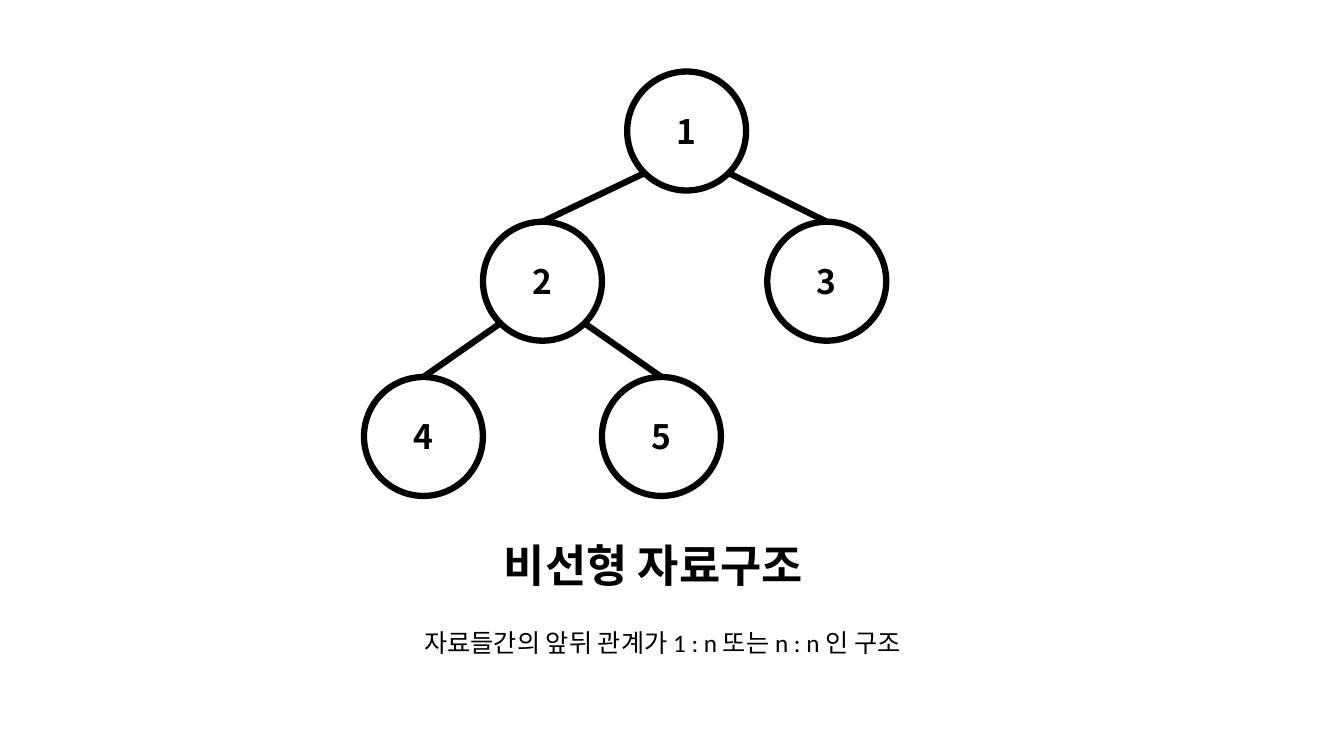
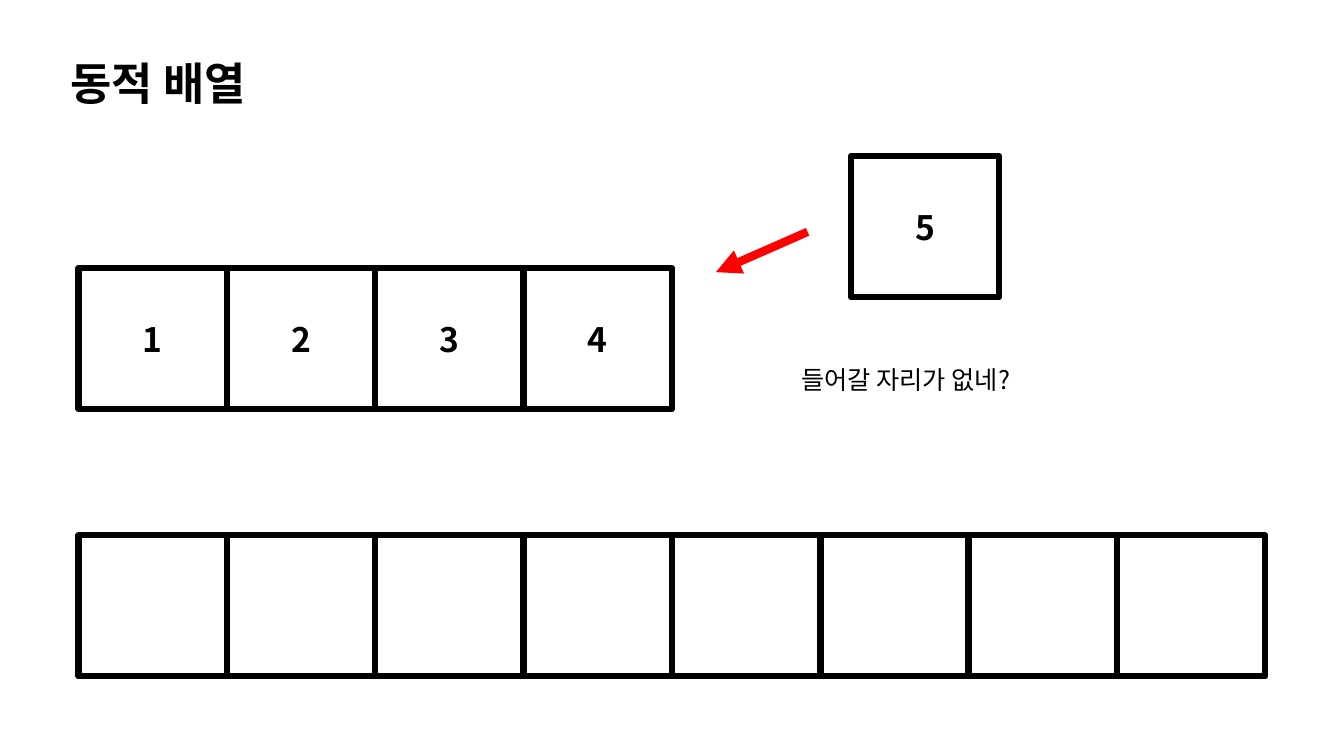
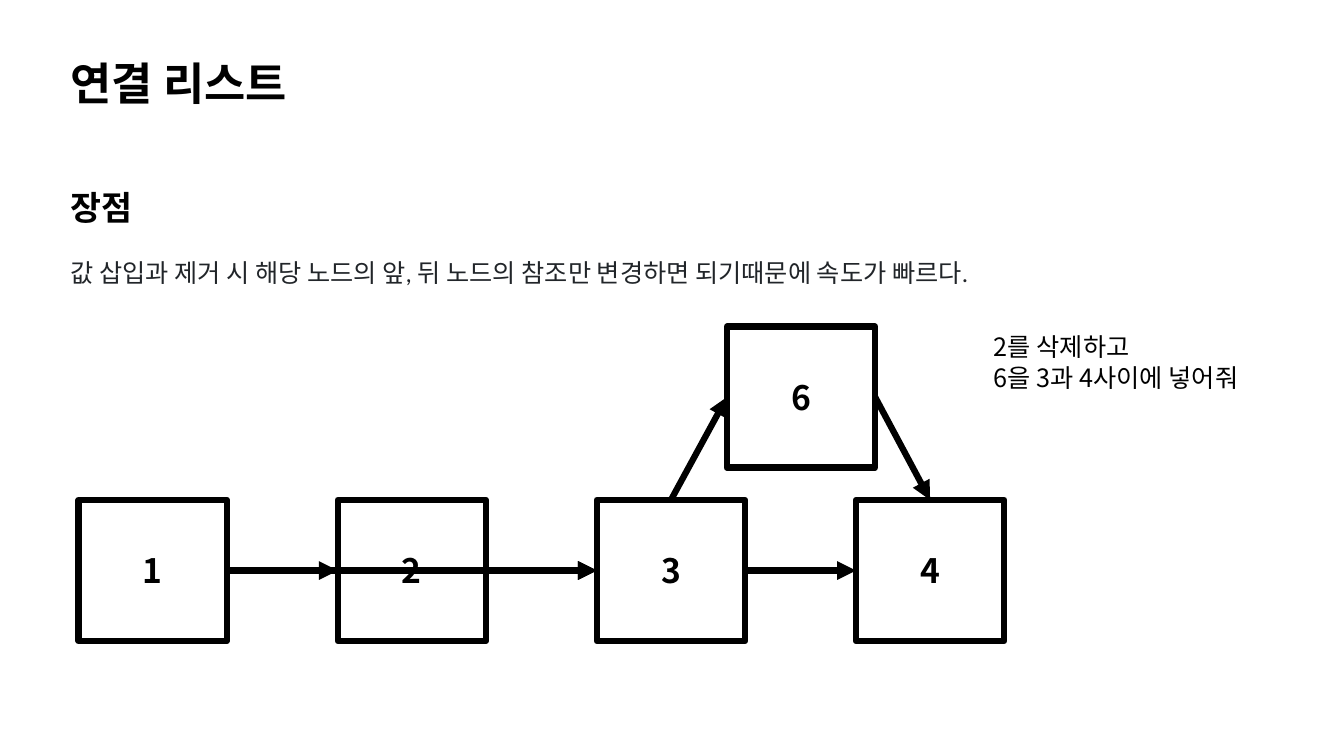
from dataclasses import dataclass
from itertools import pairwise

from lxml.etree import SubElement
from pptx import Presentation
from pptx.dml.color import RGBColor
from pptx.enum.shapes import MSO_CONNECTOR, MSO_SHAPE
from pptx.enum.text import MSO_ANCHOR, PP_ALIGN
from pptx.oxml.ns import qn
from pptx.slide import Slide
from pptx.text.text import TextFrame
from pptx.util import Inches, Pt

COLOURS = {"ink": "000000", "body": "212529", "alert": "FF0000"}
KOREAN = "Noto Sans CJK KR"
LATIN = "Calibri"
OUTLINE = 4.5
MARGIN = 0.6
TITLE_TOP = 0.5
GRID_LEFT = 0.78
CELL_WIDTH, CELL_HEIGHT = 1.47, 1.4
CELL_PITCH = 1.4715
LINK_PITCH = 2.57
DIAMETER = 1.18

Point = tuple[float, float]


@dataclass(frozen=True)
class Line:
    text: str
    size: float = 18
    bold: bool = False
    font: str = KOREAN
    colour: str = "ink"
    align: PP_ALIGN = PP_ALIGN.LEFT
    gap: float = 0


@dataclass(frozen=True)
class Node:
    label: str
    left: float
    top: float
    width: float = CELL_WIDTH
    height: float = CELL_HEIGHT
    outline: MSO_SHAPE = MSO_SHAPE.RECTANGLE

    def at(self, across: float, down: float) -> Point:
        return self.left + self.width * across, self.top + self.height * down

    def rim(self, side: int) -> Point:
        reach = 0.5 ** 1.5
        return self.at(0.5 + side * reach, 0.5 + reach)


def colour(name: str) -> RGBColor:
    return RGBColor.from_string(COLOURS[name])


def write(frame: TextFrame, lines: list[Line]) -> None:
    frame.word_wrap = True
    for index, line in enumerate(lines):
        paragraph = frame.add_paragraph() if index else frame.paragraphs[0]
        paragraph.text = line.text
        paragraph.alignment = line.align
        paragraph.space_before = Pt(line.gap)
        font = paragraph.font
        font.size, font.bold, font.name = Pt(line.size), line.bold, line.font
        font.color.rgb = colour(line.colour)
        defaults = paragraph._p.pPr.find(qn("a:defRPr"))
        SubElement(defaults, qn("a:ea")).set("typeface", KOREAN)


def add_text(slide: Slide, left: float, top: float, width: float,
             height: float, *lines: Line) -> None:
    box = slide.shapes.add_textbox(*map(Inches, (left, top, width, height)))
    write(box.text_frame, list(lines))


def add_title(slide: Slide, text: str, left: float = MARGIN,
              top: float = TITLE_TOP) -> None:
    add_text(slide, left, top, 3.53, 0.64, Line(text, 32, True))


def add_node(slide: Slide, node: Node) -> None:
    shape = slide.shapes.add_shape(node.outline, *map(
        Inches, (node.left, node.top, node.width, node.height)))
    shape.shadow.inherit = False
    shape.fill.background()
    shape.line.color.rgb = colour("ink")
    shape.line.width = Pt(OUTLINE)
    if node.label:
        shape.text_frame.vertical_anchor = MSO_ANCHOR.MIDDLE
        write(shape.text_frame,
              [Line(node.label, 24, True, align=PP_ALIGN.CENTER)])


def add_link(slide: Slide, start: Point, end: Point, arrow: bool = True,
             tint: str = "ink", weight: float = OUTLINE) -> None:
    link = slide.shapes.add_connector(
        MSO_CONNECTOR.STRAIGHT, *map(Inches, (*start, *end)))
    link.line.color.rgb = colour(tint)
    link.line.width = Pt(weight)
    properties = link._element.spPr
    if arrow:
        SubElement(properties.find(qn("a:ln")),
                   qn("a:tailEnd")).set("type", "triangle")
    SubElement(properties, qn("a:effectLst"))


def cell_row(labels: list[str], top: float, pitch: float) -> list[Node]:
    return [Node(label, GRID_LEFT + column * pitch, top)
            for column, label in enumerate(labels)]


def draw_tree(slide: Slide) -> None:
    places = [(6.22, 0.71), (4.79, 2.2), (7.61, 2.2), (3.61, 3.74), (5.97, 3.74)]
    tree = [Node(str(number), *place, DIAMETER, DIAMETER, MSO_SHAPE.OVAL)
            for number, place in enumerate(places, 1)]
    for node in tree:
        add_node(slide, node)
    for index, child in enumerate(tree[1:], 1):
        parent = tree[(index - 1) // 2]
        add_link(slide, parent.rim(-1 if index % 2 else 1),
                 child.at(0.5, 0), arrow=False)
    add_title(slide, "비선형 자료구조", 4.9, 5.29)
    add_text(slide, 2.6, 6.17, 7.94, 0.4,
             Line("자료들간의 앞뒤 관계가 1 : n 또는 n : n 인 구조",
                  font=LATIN, align=PP_ALIGN.CENTER))


def draw_dynamic_array(slide: Slide) -> None:
    add_title(slide, "동적 배열")
    full_array = cell_row(list("1234"), 2.66, CELL_PITCH)
    larger_array = cell_row([""] * 8, 5.31, CELL_PITCH)
    for node in [*full_array, Node("5", 8.44, 1.55), *larger_array]:
        add_node(slide, node)
    add_link(slide, (8.01, 2.3), (7.1, 2.7), tint="alert", weight=6)
    add_text(slide, 7.85, 3.57, 3.34, 0.4, Line("들어갈 자리가 없네?"))


def draw_linked_list(slide: Slide) -> None:
    add_title(slide, "연결 리스트")
    chain = cell_row(list("1234"), 4.96, LINK_PITCH)
    first, second, third, fourth = chain
    inserted = Node("6", 7.21, 3.24)
    for node in [*chain, inserted]:
        add_node(slide, node)
    for before, after in [*pairwise(chain), (first, third)]:
        add_link(slide, before.at(1, 0.5), after.at(0, 0.5))
    add_link(slide, third.at(0.5, 0), inserted.at(0, 0.5))
    add_link(slide, inserted.at(1, 0.5), fourth.at(0.5, 0))
    add_text(slide, MARGIN, 1.8, 11.13, 1.11,
             Line("장점", 24, True),
             Line("값 삽입과 제거 시 해당 노드의 앞, 뒤 노드의 참조만 "
                  "변경하면 되기때문에 속도가 빠르다.",
                  font=LATIN, colour="body", gap=22))
    add_text(slide, 9.76, 3.24, 3.07, 0.71,
             Line("2를 삭제하고"), Line("6을 3과 4사이에 넣어줘"))


deck = Presentation()
deck.slide_width, deck.slide_height = Inches(13.33), Inches(7.5)
for draw in (draw_tree, draw_dynamic_array, draw_linked_list):
    draw(deck.slides.add_slide(deck.slide_layouts[6]))
deck.save("out.pptx")
